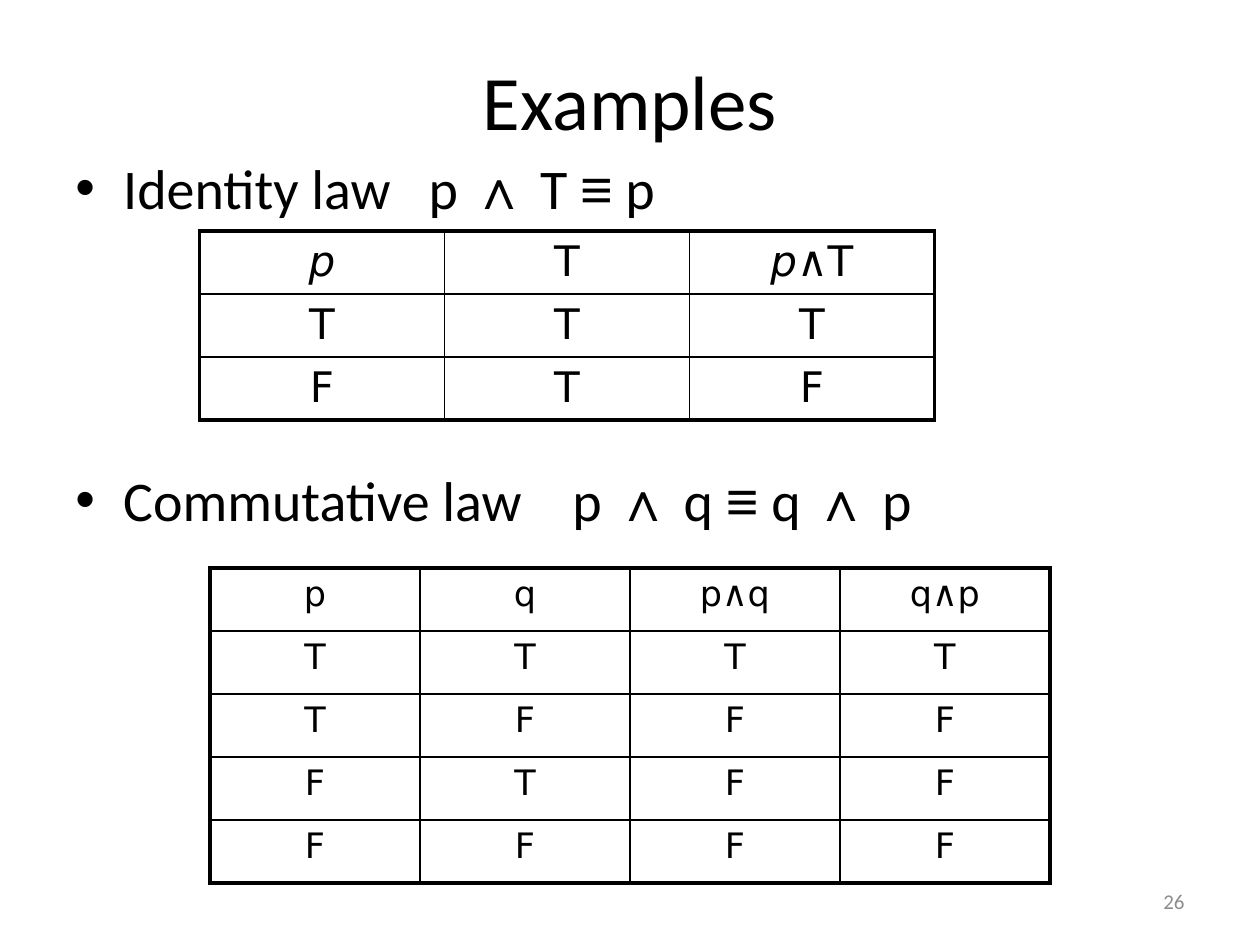
from lxml import etree
from pptx import Presentation
from pptx import util as u
from pptx.dml.color import RGBColor
from pptx.enum import text
from pptx.oxml import ns

BLACK = RGBColor(0, 0, 0)
GRAY = RGBColor(0x8C, 0x8C, 0x8C)
WIDE, HIGH = u.Inches(10), u.Inches(7.5)
COLS, ROWS = 120, 90
THICK, THIN = 2.25, 1
SANS = "DejaVu Sans"
ALIGN = text.PP_ALIGN


def col(n):
    return round(WIDE * n / COLS)


def row(n):
    return round(HIGH * n / ROWS)


def add_run(para, words, size, font="Calibri", color=BLACK, slant=False):
    run = para.add_run()
    run.text = words
    run.font.size = u.Pt(size)
    run.font.name = font
    run.font.color.rgb = color
    run.font.italic = slant


def add_box(slide, left, top, width, height, anchor):
    box = slide.shapes.add_textbox(col(left), row(top), col(width), row(height))
    frame = box.text_frame
    frame.word_wrap = True
    frame.vertical_anchor = anchor
    return frame


def add_line(slide, place, words, size, align, color=BLACK):
    para = add_box(slide, *place, text.MSO_ANCHOR.MIDDLE).paragraphs[0]
    para.alignment = align
    add_run(para, words, size, color=color)


def add_law(para, parts):
    props = para._p.get_or_add_pPr()
    props.set("marL", str(u.Inches(0.38)))
    props.set("indent", str(u.Inches(-0.38)))
    etree.SubElement(props, ns.qn("a:buFont"), typeface="Arial")
    etree.SubElement(props, ns.qn("a:buChar"), char="•")
    for part in parts:
        add_run(para, part, 32, "Arial" if part in "∧≡" else "Calibri")


def add_edges(cell, sides):
    props = cell._tc.get_or_add_tcPr()
    for spot, (side, width) in enumerate(sides.items()):
        line = etree.Element(ns.qn("a:ln" + side), w=str(u.Pt(width)))
        fill = etree.SubElement(line, ns.qn("a:solidFill"))
        etree.SubElement(fill, ns.qn("a:srgbClr"), val=str(BLACK))
        props.insert(spot, line)


def add_truth(slide, left, top, width, tall, size, heads, lines):
    grid = [heads] + [[[(mark, False)] for mark in line] for line in lines]
    down, wide = len(grid), len(heads)
    table = slide.shapes.add_table(
        down, wide, col(left), row(top), col(width), row(tall * down)).table
    table.first_row = table.horz_banding = False
    for r, line in enumerate(grid):
        table.rows[r].height = row(tall)
        for c, parts in enumerate(line):
            cell = table.cell(r, c)
            cell.fill.background()
            para = cell.text_frame.paragraphs[0]
            para.alignment = ALIGN.CENTER
            for words, slant in parts:
                add_run(para, words, size, SANS, slant=slant)
            add_edges(cell, {
                "L": THICK if c == 0 else THIN,
                "R": THICK if c == wide - 1 else THIN,
                "T": THICK if r == 0 else THIN,
                "B": THICK if r == down - 1 else THIN,
            })


def main():
    deck = Presentation()
    deck.slide_width, deck.slide_height = WIDE, HIGH
    slide = deck.slides.add_slide(deck.slide_layouts[6])

    add_line(slide, (6, 2, 108, 15), "Examples", 44, ALIGN.CENTER)

    body = add_box(slide, 6, 14, 108, 66.4, text.MSO_ANCHOR.TOP)
    add_law(body.paragraphs[0], ["Identity law   p ", "∧", " T ", "≡", " p"])
    swap = body.add_paragraph()
    swap.space_before = u.Pt(140)
    add_law(swap, ["Commutative law    p ", "∧", " q ", "≡", " q ", "∧", " p"])

    add_truth(slide, 19, 22, 70, 5.9, 24,
              [[("p", True)], [("T", False)], [("p", True), ("∧T", False)]],
              ["TTT", "FTF"])
    add_truth(slide, 20, 54.1, 80, 6, 20,
              [[(head, False)] for head in ("p", "q", "p∧q", "q∧p")],
              ["TTTT", "TFFF", "FTFF", "FFFF"])

    add_line(slide, (86, 83.4, 28, 4.8), "26", 12, ALIGN.RIGHT, GRAY)
    deck.save("out.pptx")


if __name__ == "__main__":
    main()
